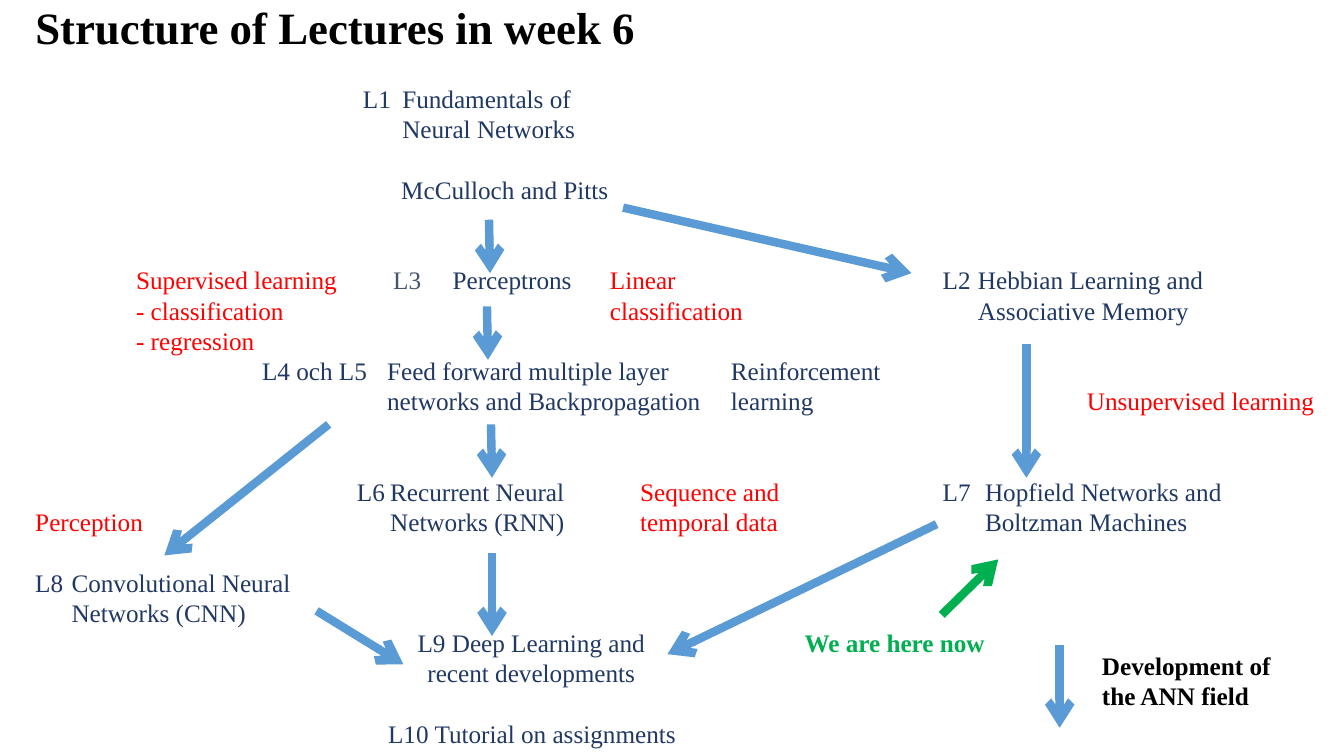
import pptx
import pptx.dml.color
import pptx.enum.shapes
import pptx.enum.text
import pptx.oxml
import pptx.oxml.ns
import pptx.util
from pptx.util import Inches

COLOURS = {"navy": "203864", "slate": "44546A", "red": "FF0000",
           "green": "00B050", "black": "000000", "blue": "5B9BD5"}
ALIGNMENT = pptx.enum.text.PP_ALIGN


class LectureMap:
    """Style and current slide of the lecture overview."""

    font_name = "Times New Roman"
    first_row_top = 0.525
    row_height = 0.3

    def __init__(self, presentation):
        title_only = presentation.slide_layouts[5]
        self.slide = presentation.slides.add_slide(title_only)

    def colour(self, name):
        return pptx.dml.color.RGBColor.from_string(COLOURS[name])

    def set_frame(self, frame, wrap):
        values = {"margin_left": 0, "margin_right": 0, "margin_top": 0,
                  "margin_bottom": 0, "word_wrap": wrap,
                  "auto_size": pptx.enum.text.MSO_AUTO_SIZE.NONE,
                  "vertical_anchor": pptx.enum.text.MSO_ANCHOR.TOP}
        for name, value in values.items():
            setattr(frame, name, value)

    def set_font(self, paragraph, size, colour, bold):
        values = {"name": self.font_name, "size": pptx.util.Pt(size), "bold": bold}
        for run in paragraph.runs:
            for name, value in values.items():
                setattr(run.font, name, value)
            run.font.color.rgb = self.colour(colour)

    def title(self, text):
        shape = self.slide.shapes.title
        box = {"left": 0.35, "top": 0, "width": 12.6, "height": 0.55}
        for name, value in box.items():
            setattr(shape, name, Inches(value))
        self.set_frame(shape.text_frame, True)
        shape.text_frame.text = text
        paragraph = shape.text_frame.paragraphs[0]
        paragraph.alignment = ALIGNMENT.LEFT
        self.set_font(paragraph, 32, "black", True)

    def label(self, left, row, width, text, colour="navy", bold=False,
              hanging=0, alignment=ALIGNMENT.LEFT):
        """Text on the row grid; a tab leads to the hanging indent."""
        top = self.first_row_top + row * self.row_height
        height = self.row_height * (1 + text.count("\v"))
        shape = self.slide.shapes.add_textbox(
            Inches(left), Inches(top), Inches(width), Inches(height))
        self.set_frame(shape.text_frame, True)
        paragraph = shape.text_frame.paragraphs[0]
        paragraph.text = text
        paragraph.alignment = alignment
        if hanging:
            indent = Inches(hanging)
            properties = paragraph._p.get_or_add_pPr()
            properties.set("marL", str(indent))
            properties.set("indent", str(-indent))
            properties.append(pptx.oxml.parse_xml(
                f'<a:tabLst {pptx.oxml.ns.nsdecls("a")}>'
                f'<a:tab pos="{indent}" algn="l"/></a:tabLst>'))
        self.set_font(paragraph, 18, colour, bold)

    def arrow(self, start, end, colour="blue"):
        connector = self.slide.shapes.add_connector(
            pptx.enum.shapes.MSO_CONNECTOR.STRAIGHT,
            *(Inches(value) for value in (*start, *end)))
        connector.line.width = pptx.util.Pt(6)
        connector.line.color.rgb = self.colour(colour)
        namespace = pptx.oxml.ns.nsdecls("a")
        connector.line._get_or_add_ln().append(
            pptx.oxml.parse_xml(f'<a:tailEnd {namespace} type="arrow"/>'))
        connector._element.spPr.append(
            pptx.oxml.parse_xml(f'<a:effectLst {namespace}/>'))


def main():
    presentation = pptx.Presentation()
    presentation.slide_width = Inches(13.33)
    presentation.slide_height = Inches(7.5)
    lecture_map = LectureMap(presentation)
    lecture_map.title("Structure of Lectures in week 6")

    # Lectures: left, row, width, text, hanging indent
    lectures = [
        (3.6, 1, 2.7, "L1\tFundamentals of\vNeural Networks", 0.39),
        (3.98, 4, 2.3, "McCulloch and Pitts", 0),
        (4.49, 7, 1.4, "Perceptrons", 0),
        (9.35, 7, 3, "L2\tHebbian Learning and\vAssociative Memory", 0.35),
        (2.6, 10, 4.6, "L4 och L5\tFeed forward multiple layer\v"
                       "networks and Backpropagation", 1.24),
        (7.25, 10, 1.8, "Reinforcement\vlearning", 0),
        (3.54, 14, 2.5, "L6\tRecurrent Neural\vNetworks (RNN)", 0.33),
        (9.35, 14, 3.2, "L7\tHopfield Networks and\vBoltzman Machines", 0.42),
        (0.35, 17, 3, "L8\tConvolutional Neural\vNetworks (CNN)", 0.36),
        (3.85, 22, 3.2, "L10 Tutorial on assignments", 0),
    ]
    for left, row, width, text, hanging in lectures:
        lecture_map.label(left, row, width, text, hanging=hanging)
    lecture_map.label(3.9, 7, 0.5, "L3", "slate")
    lecture_map.label(3.97, 19, 2.6, "L9 Deep Learning and\vrecent developments",
                      alignment=ALIGNMENT.CENTER)

    # Learning types and tasks
    topics = [
        (1.35, 7, 2.3, "Supervised learning\v- classification\v- regression"),
        (6.05, 7, 1.6, "Linear\vclassification"),
        (10.78, 11, 2.5, "Unsupervised learning"),
        (6.35, 14, 1.7, "Sequence and\vtemporal data"),
        (0.35, 15, 1.4, "Perception"),
    ]
    for left, row, width, text in topics:
        lecture_map.label(left, row, width, text, "red")

    # Current position and legend
    lecture_map.label(7.98, 19, 2.1, "We are here now", "green", True)
    lecture_map.label(10.93, 19.75, 2, "Development of\vthe ANN field", "black", True)
    lecture_map.arrow((9.34, 6.1), (9.9, 5.55), "green")

    # Development of the field
    steps = [
        ((4.85, 2.18), (4.86, 2.71)),
        ((4.83, 3.04), (4.84, 3.57)),
        ((4.87, 4.21), (4.88, 4.74)),
        ((4.88, 5.49), (4.88, 6.31)),
        ((6.18, 2.06), (9.04, 2.71)),
        ((3.26, 4.21), (1.63, 5.51)),
        ((3.14, 6.06), (4, 6.59)),
        ((9.29, 5.2), (6.62, 6.49)),
        ((10.18, 3.41), (10.18, 4.74)),
        ((10.51, 6.4), (10.51, 7.22)),
    ]
    for start, end in steps:
        lecture_map.arrow(start, end)

    presentation.save("out.pptx")


if __name__ == "__main__":
    main()
